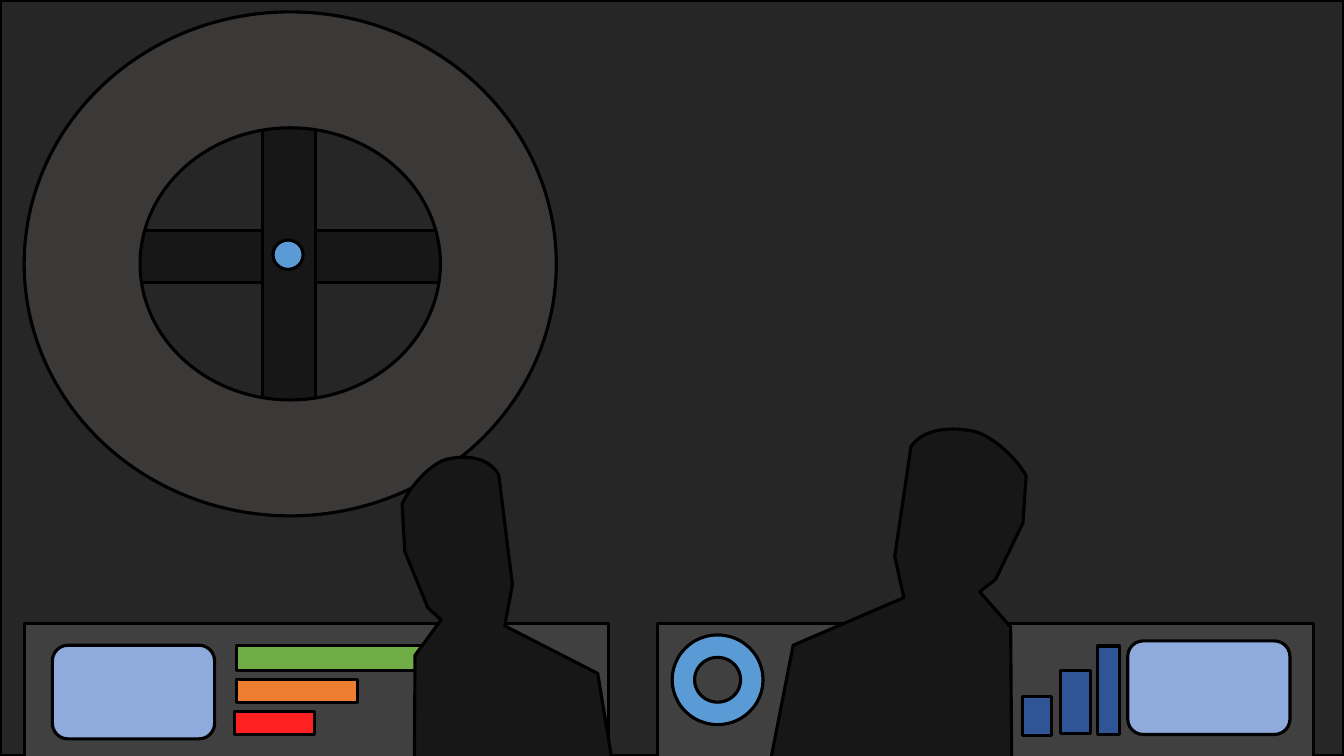
"""Build a dark control room with a large wheel, two consoles and two seated operators."""
import pptx
import pptx.util
import pptx.dml.color
import pptx.enum.shapes

Cm = pptx.util.Cm
KIND = pptx.enum.shapes.MSO_SHAPE

COLOURS = {
    "backdrop": "595959", "wall": "262626", "outline": "000000",
    "shadow": "181717", "rim": "3B3838", "hub": "5B9BD5",
    "console": "404040", "screen": "8FAADC", "green": "70AD47",
    "orange": "ED7D31", "red": "FF2121", "column": "2F5597",
}
SLIDE_SIZE = (33.87, 19.05)
OUTLINE_WIDTH = 2.25
CURVE_STEPS = 12

WALL = (KIND.RECTANGLE, "wall", (0, 0, *SLIDE_SIZE))
SPOKE_ACROSS = (KIND.RECTANGLE, "shadow", (1.7, 5.82, 11.33, 1.3))
SPOKE_DOWN = (KIND.RECTANGLE, "shadow", (1.73, 5.99, 11.1, 1.32))
RIM = (KIND.DONUT, "rim", (0.61, 0.3, 13.41, 12.7))
HUB = (KIND.OVAL, "hub", (6.88, 6.05, 0.76, 0.74))
RIM_THICKNESS = 0.23

CONSOLE_PARTS = [
    (KIND.RECTANGLE, "console", (0.61, 15.72, 14.73, 4.6)),
    (KIND.RECTANGLE, "console", (16.56, 15.72, 16.54, 4.6)),
    (KIND.ROUNDED_RECTANGLE, "screen", (1.32, 16.26, 4.09, 2.36)),
    (KIND.RECTANGLE, "green", (5.97, 16.26, 4.72, 0.64)),
    (KIND.RECTANGLE, "orange", (5.97, 17.12, 3.05, 0.58)),
    (KIND.RECTANGLE, "red", (5.92, 17.93, 2.01, 0.58)),
    (KIND.DONUT, "hub", (16.94, 16, 2.29, 2.26)),
    (KIND.ROUNDED_RECTANGLE, "screen", (28.42, 16.15, 4.09, 2.36)),
    (KIND.RECTANGLE, "column", (27.66, 16.28, 0.56, 2.24)),
    (KIND.RECTANGLE, "column", (26.72, 16.89, 0.76, 1.6)),
    (KIND.RECTANGLE, "column", (25.76, 17.55, 0.74, 0.99)),
]

BACK = [(0, 9.73), (0.84, 5.44), (3.63, 4.24), (3.4, 3.2), (3.81, 0.43)]
HEAD_CURVES = [
    ((4.17, -0.08), (4.93, -0.05), (5.41, 0.05)),
    ((5.89, 0.18), (6.5, 0.76), (6.71, 1.17)),
]
FRONT = [(6.63, 2.36), (5.94, 3.78), (5.54, 4.09), (6.32, 4.98),
         (6.35, 8.86), (6.43, 9.91)]
OPERATORS = [
    {"origin": (19.15, 10.82), "stretch": 1},
    {"origin": (15.77, 11.53), "stretch": -0.84},
]


def rgb(name):
    return pptx.dml.color.RGBColor.from_string(COLOURS[name])


def paint(shape, colour):
    shape.shadow.inherit = False
    shape.fill.solid()
    shape.fill.fore_color.rgb = rgb(colour)
    shape.line.color.rgb = rgb("outline")
    shape.line.width = pptx.util.Pt(OUTLINE_WIDTH)


def add_part(shapes, part):
    kind, colour, bounds = part
    shape = shapes.add_shape(kind, *map(Cm, bounds))
    paint(shape, colour)
    return shape


def add_wheel(page):
    wheel = page.shapes.add_group_shape().shapes
    add_part(wheel, SPOKE_ACROSS)
    add_part(wheel, SPOKE_DOWN).rotation = 90
    add_part(wheel, RIM).adjustments[0] = RIM_THICKNESS
    add_part(wheel, HUB)


def curve_points(start, control_a, control_b, end):
    points = []
    for step in range(1, CURVE_STEPS + 1):
        t = step / CURVE_STEPS
        weights = ((1 - t) ** 3, 3 * t * (1 - t) ** 2, 3 * t ** 2 * (1 - t), t ** 3)
        points.append(tuple(
            sum(weight * value for weight, value in zip(weights, values))
            for values in zip(start, control_a, control_b, end)))
    return points


def operator_outline():
    points = list(BACK)
    for curve in HEAD_CURVES:
        points += curve_points(points[-1], *curve)
    return points + FRONT


def add_operator(page, origin, stretch):
    left, top = origin
    points = [(Cm(left + stretch * x), Cm(top + y)) for x, y in operator_outline()]
    builder = page.shapes.build_freeform(*points[0])
    builder.add_line_segments(points[1:], close=True)
    paint(builder.convert_to_shape(), "shadow")


def main():
    deck = pptx.Presentation()
    deck.slide_width, deck.slide_height = map(Cm, SLIDE_SIZE)
    page = deck.slides.add_slide(deck.slide_layouts[6])
    page.background.fill.solid()
    page.background.fill.fore_color.rgb = rgb("backdrop")
    add_part(page.shapes, WALL)
    add_wheel(page)
    for part in CONSOLE_PARTS:
        add_part(page.shapes, part)
    for operator in OPERATORS:
        add_operator(page, **operator)
    deck.save("out.pptx")


if __name__ == "__main__":
    main()
